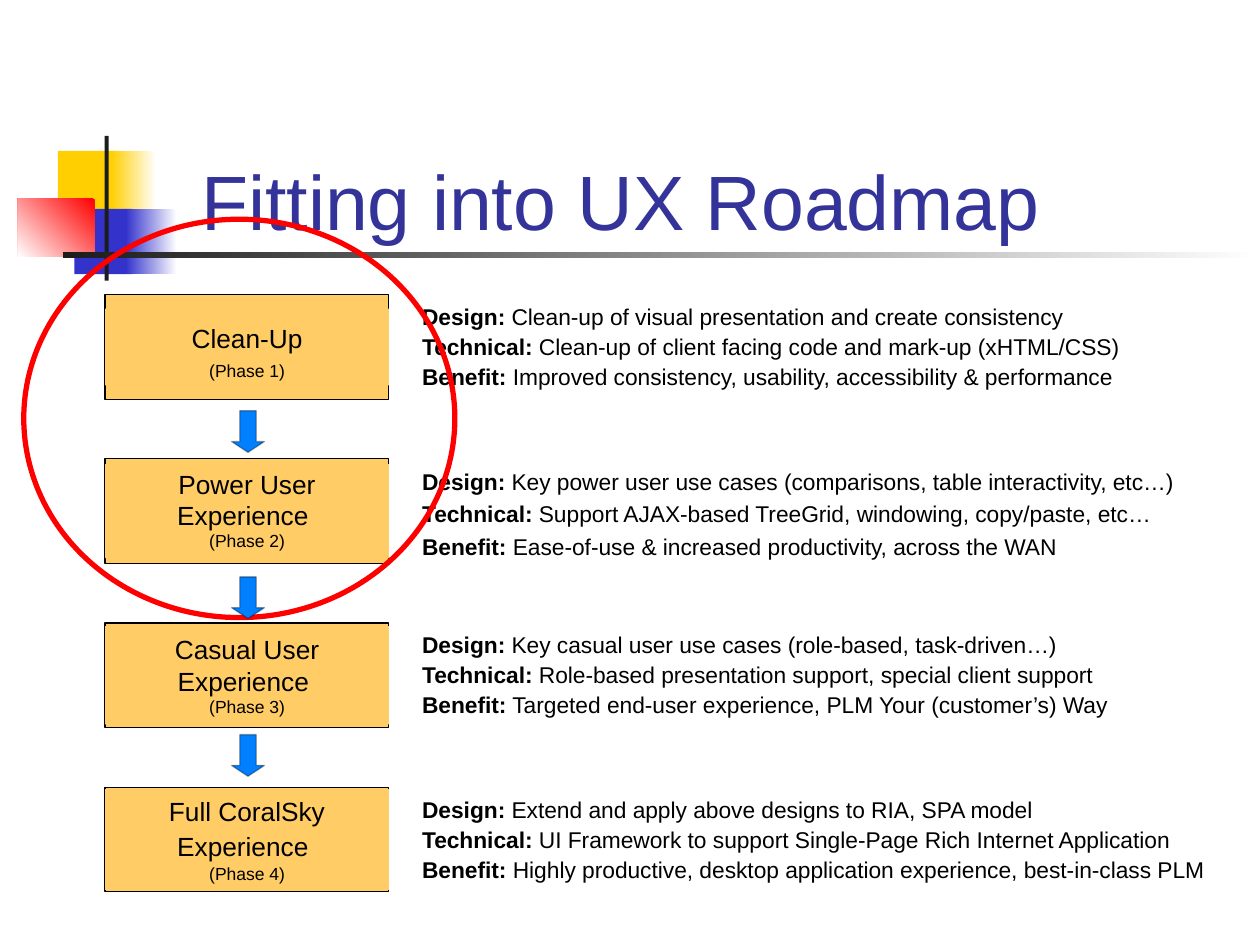
from pptx import Presentation
from pptx.dml import color
from pptx.enum import shapes, text
from pptx.oxml import xmlchemy
from pptx.oxml import ns
from pptx.util import Cm, Pt
from lxml import etree

PHASE_LEFT, PHASE_TOP, PHASE_PITCH = 2.12, 5.94, 3.31
PHASE_WIDTH, PHASE_HEIGHT = 5.72, 2.11
NOTES_GAP = 0.42
ARROW_TOPS = [8.28, 11.63, 14.81]

PHASES = [
    dict(title="Clean-Up", space_size=None, label_height=1.55, label_spacing=1.3,
         notes_height=1.96, notes_width=16.51, notes_spacing=0.9,
         notes=["Clean-up of visual presentation and create consistency",
                "Clean-up of client facing code and mark-up (xHTML/CSS)",
                "Improved consistency, usability, accessibility & performance"]),
    dict(title="Power User Experience", space_size=17, label_height=1.9, label_spacing=0.9,
         notes_height=2.06, notes_width=16.94, notes_spacing=1.0,
         notes=["Key power user use cases (comparisons, table interactivity, etc…)",
                "Support AJAX-based TreeGrid, windowing, copy/paste, etc…",
                "Ease-of-use & increased productivity, across the WAN"]),
    dict(title="Casual User Experience", space_size=15, label_height=1.98, label_spacing=1.0,
         notes_height=1.96, notes_width=16.51, notes_spacing=0.9,
         notes=["Key casual user use cases (role-based, task-driven…)",
                "Role-based presentation support, special client support",
                "Targeted end-user experience, PLM Your (customer’s) Way"]),
    dict(title="Full CoralSky Experience", space_size=17, label_height=2.03, label_spacing=1.0,
         notes_height=1.96, notes_width=16.51, notes_spacing=0.9,
         notes=["Extend and apply above designs to RIA, SPA model",
                "UI Framework to support Single-Page Rich Internet Application",
                "Highly productive, desktop application experience, best-in-class PLM"]),
]


def rgb(value):
    return color.RGBColor.from_string(value)


def add_shape(slide, kind, left, top, width, height, fill=None, line=None, weight=0.75):
    shape = slide.shapes.add_shape(kind, Cm(left), Cm(top), Cm(width), Cm(height))
    shape.shadow.inherit = False
    if fill:
        shape.fill.solid()
        shape.fill.fore_color.rgb = rgb(fill)
    else:
        shape.fill.background()
    if line:
        shape.line.color.rgb = rgb(line)
        shape.line.width = Pt(weight)
    else:
        shape.line.fill.background()
    return shape


def add_rectangle(slide, *box, **style):
    return add_shape(slide, shapes.MSO_SHAPE.RECTANGLE, *box, **style)


def add_gradient(slide, box, start, end, angle):
    shape = add_rectangle(slide, *box)
    shape.fill.gradient()
    shape.fill.gradient_angle = angle
    for stop, value in zip(shape.fill.gradient_stops, (start, end)):
        stop.color.rgb = rgb(value)


def set_frame(frame, anchor, left, top, right, bottom):
    frame.word_wrap = True
    frame.vertical_anchor = anchor
    frame.margin_left, frame.margin_top = Cm(left), Cm(top)
    frame.margin_right, frame.margin_bottom = Cm(right), Cm(bottom)


def add_run(paragraph, content, size, bold=False, ink="000000"):
    run = paragraph.add_run()
    run.text = content
    run.font.name = "Arial"
    run.font.size = Pt(size)
    run.font.bold = bold
    run.font.color.rgb = rgb(ink)


def set_indent(paragraph, margin, indent):
    properties = paragraph._p.get_or_add_pPr()
    properties.set("marL", str(Cm(margin)))
    properties.set("indent", str(Cm(indent)))


def add_emblem(slide, left, top):
    add_rectangle(slide, left + 0.81, top + 0.3, 1.22, 1.32, fill="FFCF01")
    add_gradient(slide, (left + 1.88, top + 0.3, 0.91, 1.32), "FFFFFF", "FFCF01", 180)
    add_rectangle(slide, left + 1.14, top + 1.47, 1.17, 1.32, fill="3333CC")
    add_gradient(slide, (left + 2.18, top + 1.47, 1.02, 1.32), "FFFFFF", "3333CC", 180)
    add_gradient(slide, (left, top + 1.27, 1.55, 1.17), "FF0000", "FFFFFF", 225)
    add_rectangle(slide, left + 1.75, top, 0.08, 2.92, fill="1C1C1C")
    add_gradient(slide, (left + 0.91, top + 2.34, 24.13, 0.13), "FFFFFF", "1C1C1C", 180)


def add_title(slide, left, top, width, height):
    box = slide.shapes.add_textbox(Cm(left), Cm(top), Cm(width), Cm(height))
    set_frame(box.text_frame, text.MSO_ANCHOR.MIDDLE, 0.25, 0.13, 0.1, 0.13)
    add_run(box.text_frame.paragraphs[0], "Fitting into UX Roadmap", 44, ink="333399")


def add_notes(slide, phase, left, middle):
    height = phase["notes_height"]
    box = slide.shapes.add_textbox(Cm(left), Cm(middle - height / 2),
                                   Cm(phase["notes_width"]), Cm(height))
    frame = box.text_frame
    set_frame(frame, text.MSO_ANCHOR.TOP, 0.15, 0.15, 0.25, 0.15)
    for index, (heading, note) in enumerate(zip(("Design:", "Technical:", "Benefit:"),
                                                phase["notes"])):
        paragraph = frame.add_paragraph() if index else frame.paragraphs[0]
        set_indent(paragraph, 1.07, -0.97)
        paragraph.line_spacing = phase["notes_spacing"]
        if index:
            paragraph.space_before = Pt(3.1)
        add_run(paragraph, heading, 13, bold=True)
        add_run(paragraph, " " + note, 13)


def add_phase(slide, number):
    phase = PHASES[number - 1]
    top = PHASE_TOP + (number - 1) * PHASE_PITCH
    middle = top + PHASE_HEIGHT / 2
    height = phase["label_height"]
    add_rectangle(slide, PHASE_LEFT, top, PHASE_WIDTH, PHASE_HEIGHT,
                  fill="FFCC66", line="000000")
    label = add_rectangle(slide, PHASE_LEFT, middle - height / 2, PHASE_WIDTH, height,
                          fill="FFCC66")
    frame = label.text_frame
    set_frame(frame, text.MSO_ANCHOR.MIDDLE, 0.15, 0.15, 0.25, 0.15)
    name, caption = frame.paragraphs[0], frame.add_paragraph()
    for paragraph in (name, caption):
        set_indent(paragraph, 0.1, 0)
        paragraph.alignment = text.PP_ALIGN.CENTER
        paragraph.line_spacing = phase["label_spacing"]
    add_run(name, phase["title"], 15)
    if phase["space_size"]:
        add_run(name, " ", phase["space_size"])
    add_run(caption, f"(Phase {number})", 10)
    add_notes(slide, phase, PHASE_LEFT + PHASE_WIDTH + NOTES_GAP, middle)


def add_arrow(slide, top):
    arrow = add_shape(slide, shapes.MSO_SHAPE.DOWN_ARROW, 4.67, top, 0.66, 0.84,
                      fill="0080FF", line="000000")
    arrow.adjustments[0] = 0.5
    arrow.adjustments[1] = 0.33
    ink = arrow.line._ln.find(".//" + ns.qn("a:srgbClr"))
    etree.SubElement(ink, ns.qn("a:alpha")).set("val", "34000")


def add_roadmap(slide):
    add_phase(slide, 1)
    add_phase(slide, 2)
    add_arrow(slide, ARROW_TOPS[0])
    add_shape(slide, shapes.MSO_SHAPE.OVAL, 0.48, 4.42, 8.69, 8.03, line="FF0000", weight=3)
    add_phase(slide, 3)
    add_phase(slide, 4)
    for top in ARROW_TOPS[1:]:
        add_arrow(slide, top)


def main():
    presentation = Presentation()
    presentation.slide_width, presentation.slide_height = Cm(25.4), Cm(19.05)
    slide = presentation.slides.add_slide(presentation.slide_layouts[6])
    add_emblem(slide, 0.36, 2.74)
    add_title(slide, 3.81, 2.34, 17.86, 3.38)
    add_roadmap(slide)
    presentation.save("out.pptx")


if __name__ == "__main__":
    main()
